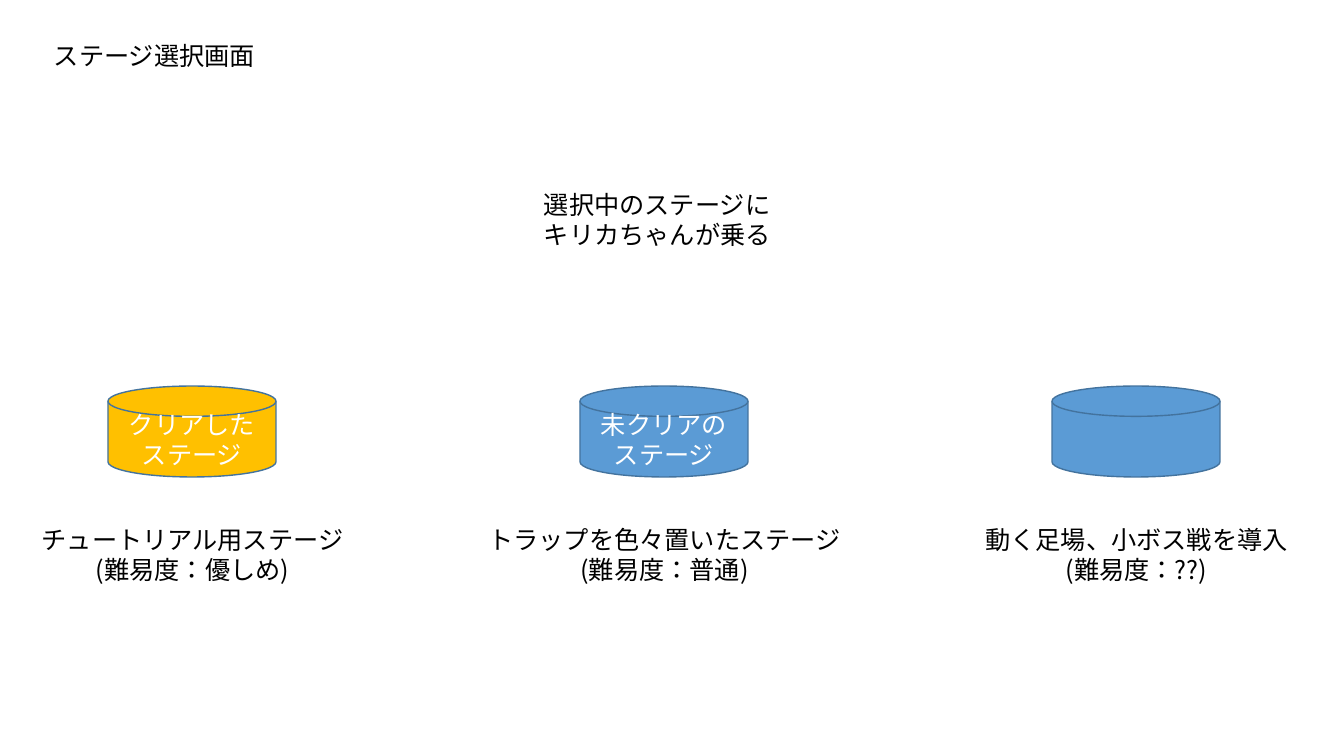
import dataclasses

import lxml.etree
import pptx
import pptx.dml.color
import pptx.enum.lang
import pptx.enum.shapes
import pptx.enum.text
import pptx.oxml.ns
import pptx.slide
import pptx.text.text
import pptx.util

EMU_PER_PX = 914400 / 100.8
FONT = "Noto Sans CJK JP"
COLORS = {
    "cleared": "FFC000",
    "open": "5B9BD5",
    "outline": "43739E",
    "ink": "000000",
    "white": "FFFFFF",
}
LEFT = pptx.enum.text.PP_ALIGN.LEFT
CENTER = pptx.enum.text.PP_ALIGN.CENTER

# Stage row geometry in px
FIRST_CENTER, STAGE_STEP = 192, 472
DISK_TOP, DISK_WIDTH, DISK_HEIGHT = 386, 168, 91
CAPTION_TOP, CAPTION_HEIGHT = 519, 72


@dataclasses.dataclass
class Stage:
    label: str
    fill: str
    caption: str
    caption_width: int


@dataclasses.dataclass
class Note:
    text: str
    left: int
    top: int
    width: int
    height: int
    align: pptx.enum.text.PP_ALIGN = LEFT


STAGES = [
    Stage("クリアしたステージ", "cleared", "チュートリアル用ステージ\n(難易度：優しめ)", 333),
    Stage("未クリアのステージ", "open", "トラップを色々置いたステージ\n(難易度：普通)", 397),
    Stage("", "open", "動く足場、小ボス戦を導入\n(難易度：??)", 341),
]
NOTES = [
    Note("ステージ選択画面", 44, 35, 232, 40),
    Note("選択中のステージに\nキリカちゃんが乗る", 534, 184, 258, 72),
]


def px(length: int) -> pptx.util.Emu:
    return pptx.util.Emu(round(length * EMU_PER_PX))


def rgb(name: str) -> pptx.dml.color.RGBColor:
    return pptx.dml.color.RGBColor.from_string(COLORS[name])


def write(frame: pptx.text.text.TextFrame, text: str, color: str,
          align: pptx.enum.text.PP_ALIGN) -> None:
    frame.text = text
    frame.word_wrap = True
    for para in frame.paragraphs:
        para.alignment = align
        for span in para.runs:
            span.font.size = pptx.util.Pt(18)
            span.font.name = FONT
            span.font.color.rgb = rgb(color)
            span.font.language_id = pptx.enum.lang.MSO_LANGUAGE_ID.JAPANESE
            # Japanese glyphs use the East Asian typeface
            east_asian = lxml.etree.SubElement(
                span.font._element, pptx.oxml.ns.qn("a:ea"))
            east_asian.set("typeface", FONT)


def add_note(page: pptx.slide.Slide, note: Note) -> None:
    box = page.shapes.add_textbox(
        px(note.left), px(note.top), px(note.width), px(note.height))
    write(box.text_frame, note.text, "ink", note.align)
    box.text_frame.auto_size = pptx.enum.text.MSO_AUTO_SIZE.SHAPE_TO_FIT_TEXT


def add_stage(page: pptx.slide.Slide, stage: Stage, center: int) -> None:
    disk = page.shapes.add_shape(
        pptx.enum.shapes.MSO_SHAPE.FLOWCHART_MAGNETIC_DISK,
        px(center - DISK_WIDTH // 2), px(DISK_TOP), px(DISK_WIDTH), px(DISK_HEIGHT))
    disk.shadow.inherit = False
    disk.fill.solid()
    disk.fill.fore_color.rgb = rgb(stage.fill)
    disk.line.color.rgb = rgb("outline")
    disk.line.width = pptx.util.Pt(1)
    disk.text_frame.vertical_anchor = pptx.enum.text.MSO_ANCHOR.MIDDLE
    if stage.label:
        write(disk.text_frame, stage.label, "white", CENTER)
    add_note(page, Note(stage.caption, center - stage.caption_width // 2, CAPTION_TOP,
                        stage.caption_width, CAPTION_HEIGHT, CENTER))


def main() -> None:
    deck = pptx.Presentation()
    deck.slide_width, deck.slide_height = px(1344), px(756)
    page = deck.slides.add_slide(deck.slide_layouts[6])

    # Stage disks with captions
    for index, stage in enumerate(STAGES):
        add_stage(page, stage, FIRST_CENTER + index * STAGE_STEP)

    # Heading and hint
    for note in NOTES:
        add_note(page, note)

    deck.save("out.pptx")


if __name__ == "__main__":
    main()
